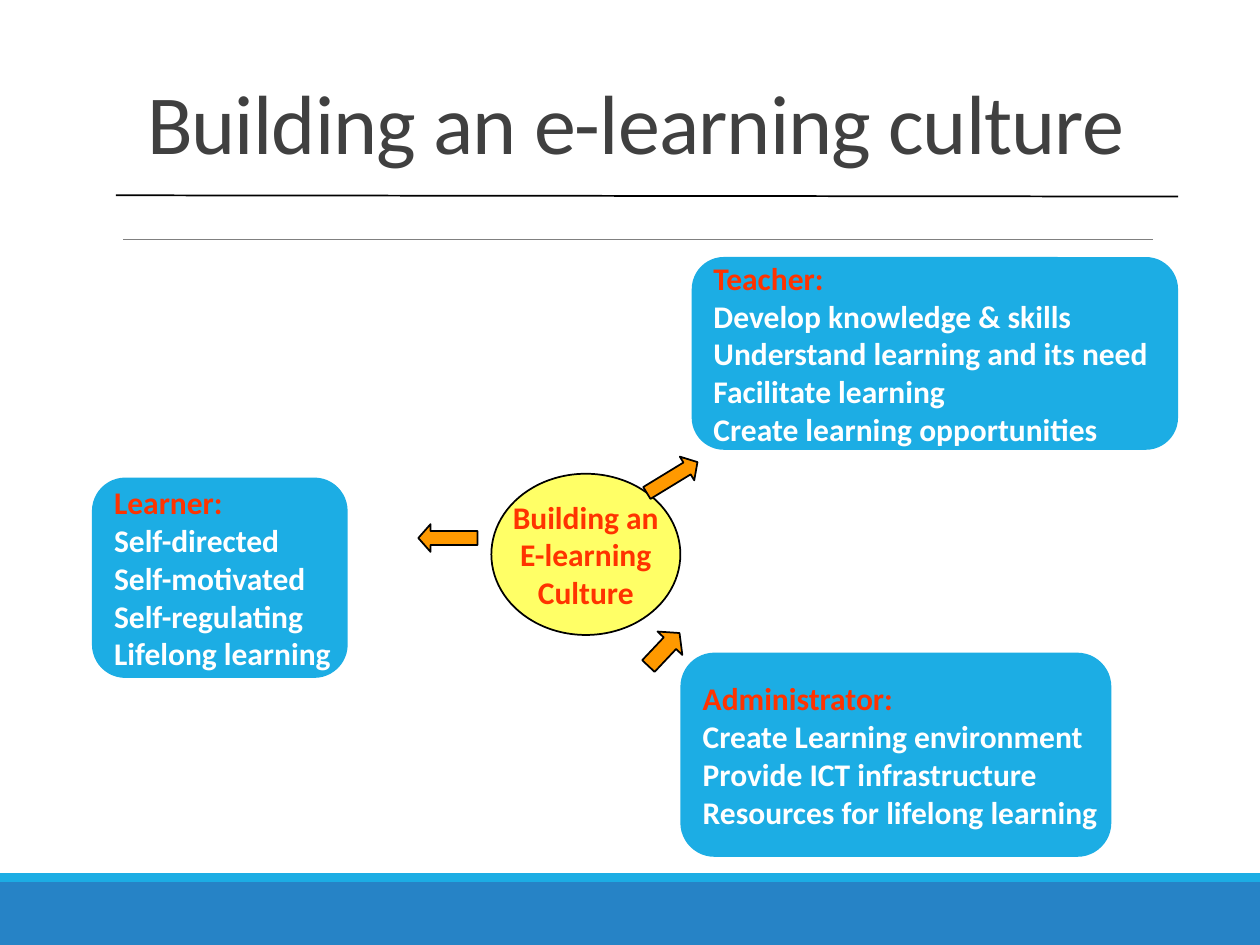
import pptx
import pptx.util
import pptx.dml.color
import pptx.enum.shapes
import pptx.enum.text
import pptx.oxml

COLORS = {"sky": "1CADE4", "blue": "2683C6", "yellow": "FFFF66", "orange": "FF9900",
          "red": "FF3300", "white": "FFFFFF", "black": "000000", "gray": "808080",
          "title": "404040"}
SHAPES = pptx.enum.shapes.MSO_SHAPE
ALIGN = pptx.enum.text.PP_ALIGN
ANCHOR = pptx.enum.text.MSO_ANCHOR
COLS, ROWS = 100, 75

prs = pptx.Presentation()
prs.slide_width = pptx.util.Inches(10)
prs.slide_height = pptx.util.Inches(7.5)


def place(left, top, width, height):
    col, row = prs.slide_width / COLS, prs.slide_height / ROWS
    return [int(v) for v in (left * col, top * row, width * col, height * row)]


def rgb(name):
    return pptx.dml.color.RGBColor.from_string(COLORS[name])


def set_format(target, values):
    for name, value in values.items():
        setattr(target, name, value)


def add_shape(s, kind, box, fill, line=None):
    sp = s.shapes.add_shape(kind, *place(*box))
    sp.shadow.inherit = False
    sp.fill.solid()
    sp.fill.fore_color.rgb = rgb(fill)
    if line:
        sp.line.color.rgb = rgb(line)
        sp.line.width = pptx.util.Pt(1)
    else:
        sp.line.fill.background()
    return sp


def write_lines(sp, lines, colors, align):
    tf = sp.text_frame
    set_format(tf, {"word_wrap": False, "vertical_anchor": ANCHOR.MIDDLE})
    for i, (text, color) in enumerate(zip(lines, colors)):
        p = tf.paragraphs[0] if i == 0 else tf.add_paragraph()
        p.alignment = align
        r = p.add_run()
        r.text = text
        set_format(r.font, {"name": "Calibri", "size": pptx.util.Pt(18), "bold": True})
        r.font.color.rgb = rgb(color)


def add_rule(s, start, end, color, width):
    x1, y1, x2, y2 = place(*start, *end)
    line = s.shapes.add_connector(pptx.enum.shapes.MSO_CONNECTOR.STRAIGHT, x1, y1, x2, y2)
    line.line.color.rgb = rgb(color)
    line.line.width = pptx.util.Pt(width)
    line._element.spPr.append(pptx.oxml.parse_xml(
        '<a:effectLst xmlns:a="http://schemas.openxmlformats.org/drawingml/2006/main"/>'))


def add_footer(s, box):
    left, top, width, height = box
    stripe = 0.7
    add_shape(s, SHAPES.RECTANGLE, (left, top + stripe, width, height - stripe), "blue")
    add_shape(s, SHAPES.RECTANGLE, (left, top, width, stripe), "sky")


def add_title(s, box, text):
    sp = s.shapes.title
    set_format(sp, dict(zip(("left", "top", "width", "height"), place(*box))))
    set_format(sp.text_frame, {"word_wrap": True, "vertical_anchor": ANCHOR.BOTTOM})
    p = sp.text_frame.paragraphs[0]
    p.alignment = ALIGN.CENTER
    r = p.add_run()
    r.text = text
    set_format(r.font, {"name": "Calibri", "size": pptx.util.Pt(48)})
    r.font.color.rgb = rgb("title")
    r.font._element.set("spc", "-50")


def add_card(s, box, heading, items):
    sp = add_shape(s, SHAPES.ROUNDED_RECTANGLE, box, "sky")
    write_lines(sp, [heading] + items, ["red"] + ["white"] * len(items), ALIGN.LEFT)


def add_hub(s, box, lines):
    sp = add_shape(s, SHAPES.OVAL, box, "yellow", "black")
    write_lines(sp, lines, ["red"] * len(lines), ALIGN.CENTER)


def add_arrow(s, box, angle, head):
    sp = add_shape(s, SHAPES.RIGHT_ARROW, box, "orange", "black")
    sp.rotation = angle
    sp.adjustments[1] = head


def build_slide():
    s = prs.slides.add_slide(prs.slide_layouts[5])
    add_rule(s, (9.8, 19), (91.5, 19), "gray", 0.5)
    add_footer(s, (0, 69.3, COLS, 5.7))
    add_title(s, (9.2, -1.8, 82.5, 15.9), "Building an e-learning culture")
    cards = [
        ((7.3, 37.9, 20.3, 15.9), "Learner:",
         ["Self-directed", "Self-motivated", "Self-regulating", "Lifelong learning"]),
        ((54.9, 20.4, 38.6, 15.3), "Teacher:",
         ["Develop knowledge & skills", "Understand learning and its need",
          "Facilitate learning", "Create learning opportunities"]),
        ((54, 51.8, 34.2, 16.2), "Administrator:",
         ["Create Learning environment", "Provide ICT infrastructure",
          "Resources for lifelong learning"]),
    ]
    for card in cards:
        add_card(s, *card)
    add_hub(s, (39, 37.6, 15, 12.8), ["Building an", "E-learning", "Culture"])
    arrows = [((33.2, 41.6, 4.7, 2.2), 180, 0.44),
              ((51, 36.8, 4.7, 2.2), 328.6, 0.44),
              ((50.9, 50.2, 3.6, 2.7), 313.3, 0.41)]
    for arrow in arrows:
        add_arrow(s, *arrow)
    add_rule(s, (9.2, 15.5), (93.5, 15.6), "black", 1)


if __name__ == "__main__":
    build_slide()
    prs.save("out.pptx")
